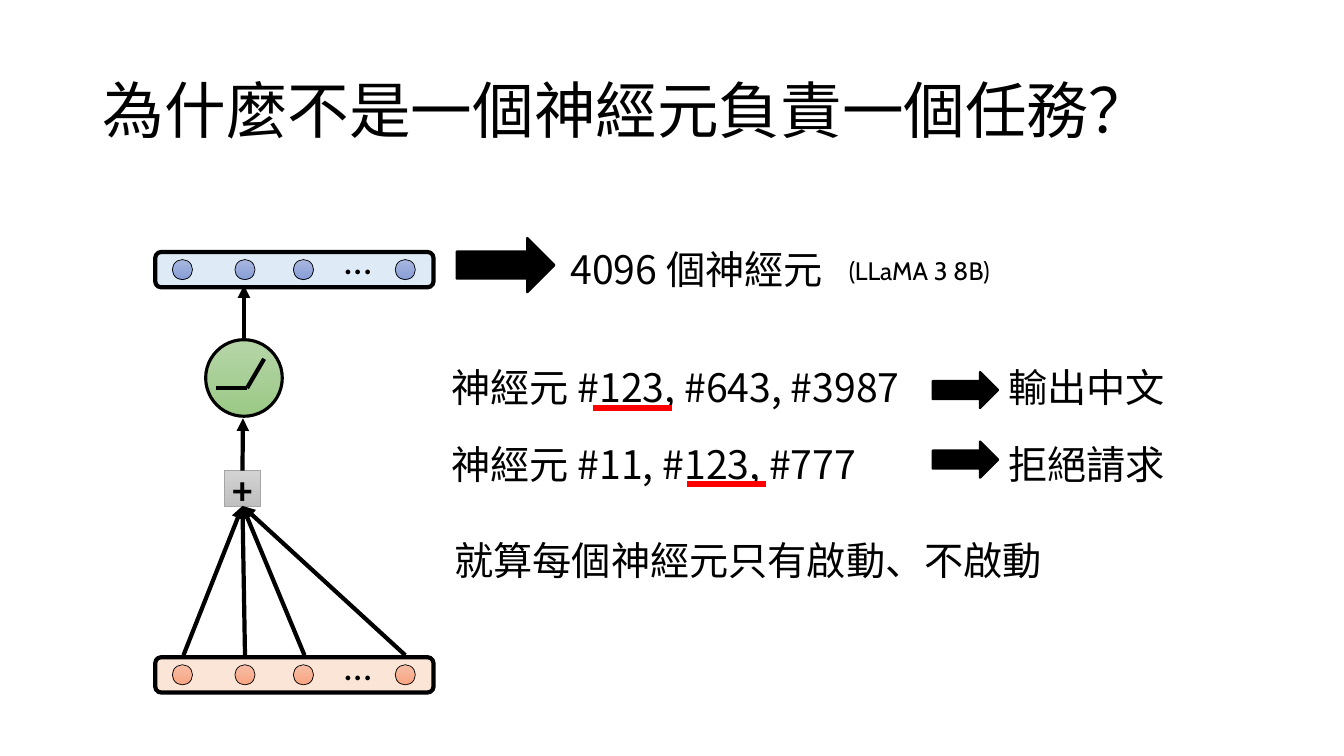
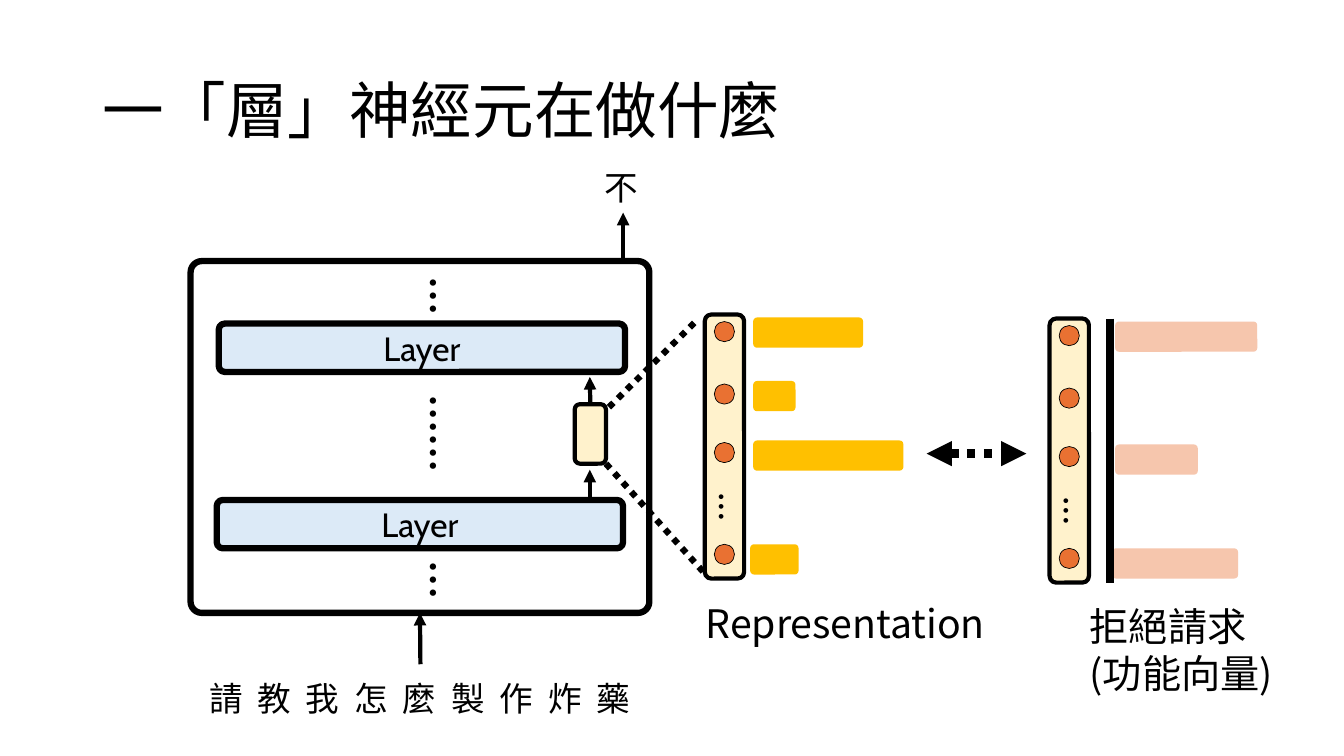
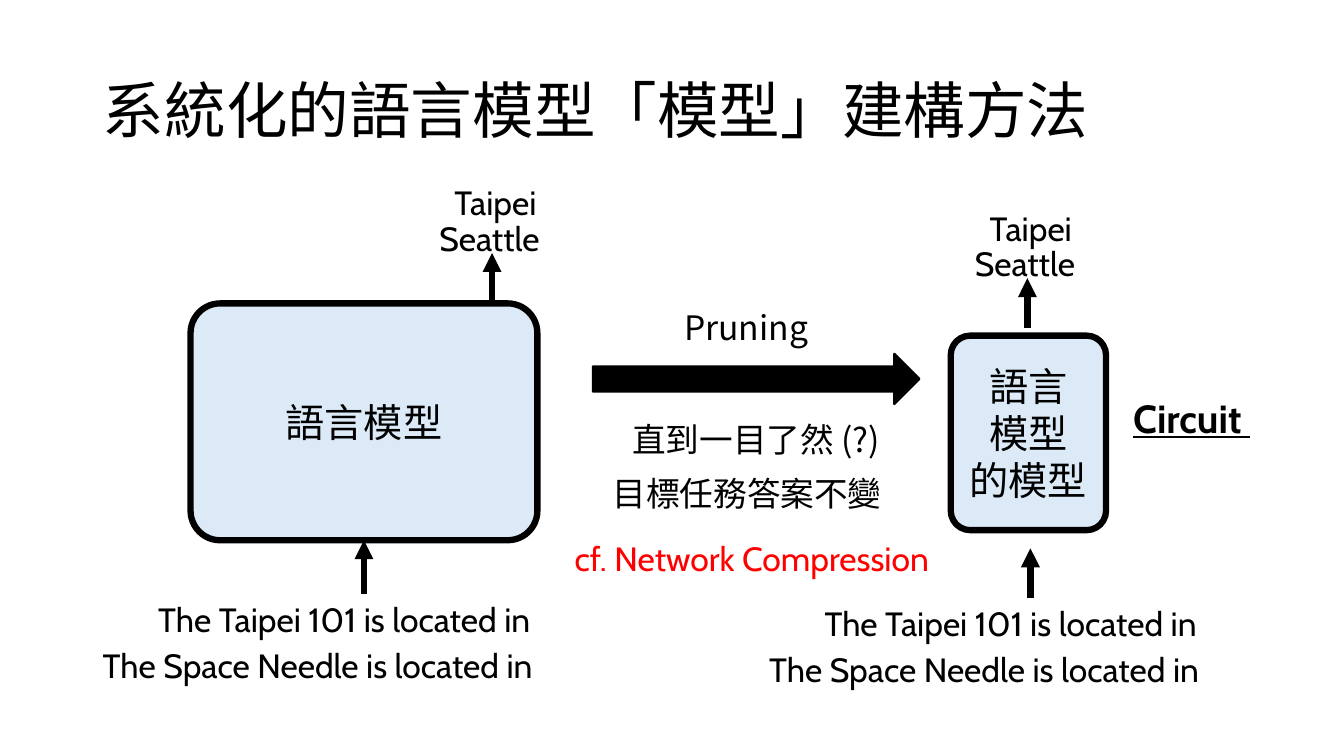
from pptx import Presentation
from pptx.dml.color import RGBColor
from pptx.enum.dml import MSO_LINE
from pptx.enum.shapes import MSO_CONNECTOR, MSO_SHAPE as SHAPE
from pptx.enum.text import MSO_ANCHOR as ANCHOR, MSO_AUTO_SIZE, PP_ALIGN as ALIGN
from pptx.oxml.ns import qn
from pptx.util import Inches, Pt
from lxml import etree

BLACK = RGBColor(0x00, 0x00, 0x00)
RED = RGBColor(0xFF, 0x00, 0x00)
GREEN = (RGBColor(0xB5, 0xD5, 0xA7), RGBColor(0x9C, 0xC9, 0x87))
GREY = (RGBColor(0xD2, 0xD2, 0xD2), RGBColor(0xC0, 0xC0, 0xC0))
GREY_EDGE = RGBColor(0xA5, 0xA5, 0xA5)
SALMON = (RGBColor(0xF7, 0xBD, 0xA5), RGBColor(0xF8, 0xA5, 0x82))
PERIWINKLE = (RGBColor(0xA8, 0xB7, 0xDF), RGBColor(0x88, 0x9E, 0xD7))
PEACH = RGBColor(0xFB, 0xE5, 0xD6)
SKY = RGBColor(0xDE, 0xEB, 0xF7)
MODEL_BLUE = RGBColor(0xDC, 0xEA, 0xF7)
CREAM = RGBColor(0xFF, 0xF2, 0xCC)
ORANGE = RGBColor(0xE9, 0x71, 0x32)
GOLD = RGBColor(0xFF, 0xC0, 0x00)
PINK = RGBColor(0xF6, 0xC6, 0xAD)

CJK, CABIN, CALIBRI = "Noto Sans CJK SC", "Cabin", "Calibri"
NEURON_STEPS = (0, 0.62, 1.2, 2.21)
BAR_TOPS = (0.03, 0.66, 1.25, 2.28)


# ---- Shared helpers ----
def write(tf, text, size=28, font=CJK, color=BLACK, bold=False, underline=False,
          align=ALIGN.LEFT, anchor=ANCHOR.TOP, line_spacing=None, tracking=None):
    """Fill a text frame, one paragraph for each line of text."""
    tf.auto_size = MSO_AUTO_SIZE.NONE
    tf.vertical_anchor = anchor
    for i, words in enumerate(text.split("\n")):
        p = tf.paragraphs[0] if i == 0 else tf.add_paragraph()
        p.alignment = align
        if line_spacing:
            p.line_spacing = line_spacing
        r = p.add_run()
        r.text = words
        r.font.size, r.font.name = Pt(size), font
        r.font.bold, r.font.underline = bold, underline
        r.font.color.rgb = color
        rPr = r.font._element
        etree.SubElement(rPr, qn("a:ea")).set("typeface", font)
        if tracking:
            rPr.set("spc", str(int(tracking * 100)))


def add_text(s, x, y, w, h, text, rotation=0, **fmt):
    sp = s.shapes.add_textbox(Inches(x), Inches(y), Inches(w), Inches(h))
    sp.rotation = rotation
    sp.text_frame.word_wrap = True
    write(sp.text_frame, text, **fmt)
    return sp


def add_box(s, kind, x, y, w, h, fill=None, edge=BLACK, width=3, adj=None):
    """Add a preset shape; a pair of colours makes a vertical gradient."""
    sp = s.shapes.add_shape(kind, Inches(x), Inches(y), Inches(w), Inches(h))
    sp.shadow.inherit = False
    if adj is not None:
        sp.adjustments[0] = adj
    if fill is None:
        sp.fill.background()
    elif isinstance(fill, RGBColor):
        sp.fill.solid()
        sp.fill.fore_color.rgb = fill
    else:
        sp.fill.gradient()
        sp.fill.gradient_angle = 270
        for stop, color in zip(sp.fill.gradient_stops, fill):
            stop.color.rgb = color
    if edge is None:
        sp.line.fill.background()
    else:
        sp.line.color.rgb = edge
        sp.line.width = Pt(width)
    return sp


def add_line(s, x1, y1, x2, y2, width=3, color=BLACK, dotted=False, ends=()):
    c = s.shapes.add_connector(MSO_CONNECTOR.STRAIGHT, Inches(x1), Inches(y1),
                               Inches(x2), Inches(y2))
    c.line.color.rgb = color
    c.line.width = Pt(width)
    if dotted:
        c.line.dash_style = MSO_LINE.ROUND_DOT
    ln = c.line._get_or_add_ln()
    for end in ends:
        etree.SubElement(ln, qn("a:" + end)).set("type", "triangle")
    etree.SubElement(c._element.spPr, qn("a:effectLst"))
    return c


def add_arrow(s, x1, y1, x2, y2, width=3):
    return add_line(s, x1, y1, x2, y2, width, ends=("tailEnd",))


def block_arrow(s, x, y, w, h):
    add_box(s, SHAPE.RIGHT_ARROW, x, y, w, h, BLACK, width=1.5)


def titled_slide(prs, text):
    s = prs.slides.add_slide(prs.slide_layouts[5])
    title = s.shapes.title
    title.left, title.top = Inches(0.92), Inches(0.4)
    title.width, title.height = Inches(11.5), Inches(1.45)
    write(title.text_frame, text, size=44, anchor=ANCHOR.MIDDLE, line_spacing=0.9)
    return s


def neuron_strip(s, x, y, length, depth, pad, fill, dot, vertical=False):
    """Rounded strip of four neurons with an ellipsis before the last."""
    w, h = (depth, length) if vertical else (length, depth)
    add_box(s, SHAPE.ROUNDED_RECTANGLE, x, y, w, h, fill)
    across = (depth - 0.2) / 2
    for step in NEURON_STEPS:
        along = pad + step
        dx, dy = (across, along) if vertical else (along, across)
        add_box(s, SHAPE.OVAL, x + dx, y + dy, 0.2, 0.2, dot, width=0.5)
    along = pad + 1.84
    cx, cy = (depth / 2 + 0.1, along) if vertical else (along, depth / 2 - 0.1)
    add_text(s, x + cx - 0.335, y + cy - 0.285, 0.67, 0.57, "…",
             rotation=90 if vertical else 0, font=CALIBRI, align=ALIGN.CENTER)


# ---- Slide 1: neurons and tasks ----
def relu_node(s, x, y):
    add_box(s, SHAPE.OVAL, x, y, 0.76, 0.76, GREEN, width=2.25)
    add_line(s, x + 0.1, y + 0.48, x + 0.41, y + 0.48)
    add_line(s, x + 0.41, y + 0.48, x + 0.58, y + 0.19)


def network(s, x, y):
    """One neuron: inputs at the bottom, output layer at the top."""
    relu_node(s, x + 0.5, y + 0.87)
    total = add_box(s, SHAPE.RECTANGLE, x + 0.69, y + 2.17, 0.35, 0.35,
                    GREY, GREY_EDGE, 0.5)
    tf = total.text_frame
    tf.margin_left = tf.margin_right = tf.margin_top = tf.margin_bottom = 0
    tf.word_wrap = False
    write(tf, "+", font=CALIBRI, bold=True, align=ALIGN.CENTER, anchor=ANCHOR.MIDDLE)
    neuron_strip(s, x, y + 4.02, 2.76, 0.35, 0.17, PEACH, SALMON)
    neuron_strip(s, x, y, 2.76, 0.35, 0.17, SKY, PERIWINKLE)
    add_arrow(s, x + 0.87, y + 2.17, x + 0.87, y + 1.65).begin_connect(total, 0)
    add_arrow(s, x + 0.88, y + 0.86, x + 0.88, y + 0.33)
    for dx in (0.28, 0.89, 1.48, 2.48):
        add_arrow(s, x + dx, y + 4, x + 0.87, y + 2.52).end_connect(total, 2)


def task_row(s, y, neurons, task, arrow_y, mark_x, mark_y):
    add_text(s, 4.38, y, 6.5, 0.57, neurons)
    add_text(s, 9.9, y, 3.27, 0.57, task)
    block_arrow(s, 9.25, arrow_y, 0.65, 0.36)
    add_line(s, mark_x, mark_y, mark_x + 0.79, mark_y, 4.5, RED)


def neurons_slide(prs):
    s = titled_slide(prs, "為什麼不是一個神經元負責一個任務？")
    network(s, 1.54, 2.5)
    block_arrow(s, 4.53, 2.36, 0.97, 0.54)
    add_text(s, 5.56, 2.38, 3.11, 0.57, "4096 個神經元")
    add_text(s, 8.32, 2.48, 2.1, 0.4, "(LLaMA 3 8B)", size=18, font=CABIN)
    task_row(s, 3.56, "神經元 #123, #643, #3987", "輸出中文", 3.69, 5.88, 4.05)
    task_row(s, 4.32, "神經元 #11, #123, #777", "拒絕請求", 4.38, 6.81, 4.8)
    add_text(s, 4.41, 5.27, 6.5, 0.57, "就算每個神經元只有啟動、不啟動")


# ---- Slide 2: what a layer does ----
def layer_box(s, x, y):
    sp = add_box(s, SHAPE.ROUNDED_RECTANGLE, x, y, 4.03, 0.48, MODEL_BLUE,
                 width=4.5, adj=0.125)
    write(sp.text_frame, "Layer", size=24, font=CABIN, align=ALIGN.CENTER,
          anchor=ANCHOR.MIDDLE)


def layered_model(s, x, y):
    frame = add_box(s, SHAPE.ROUNDED_RECTANGLE, x, y, 4.55, 3.49, width=4.5, adj=0.032)
    layer_box(s, x + 0.26, y + 2.37)
    layer_box(s, x + 0.28, y + 0.62)
    vector = add_box(s, SHAPE.ROUNDED_RECTANGLE, x + 3.81, y + 1.42, 0.31, 0.59, CREAM)
    # Data flow from the prompt to the next token
    add_arrow(s, x + 2.28, y + 4, x + 2.28, y + 3.49).end_connect(frame, 2)
    add_arrow(s, x + 3.96, y + 2.37, x + 3.96, y + 2.07)
    add_arrow(s, x + 3.96, y + 1.42, x + 3.96, y + 1.15).begin_connect(vector, 0)
    add_arrow(s, x + 4.29, y, x + 4.29, y - 0.48)
    # Omitted layers
    for dy, w, dots in ((0.06, 0.83, "…"), (1.43, 1.22, "……"), (2.88, 0.83, "…")):
        add_text(s, x + 2.41 - w / 2, y + dy, w, 0.57, dots, rotation=90,
                 bold=True, align=ALIGN.CENTER)
    # Prompt and answer
    add_text(s, x - 0.11, y + 4.09, 4.77, 0.5, " ".join("請教我怎麼製作炸藥"),
             size=24, align=ALIGN.CENTER, tracking=2.65)
    add_text(s, x + 3.56, y - 0.98, 1.42, 0.5, "不", size=24, align=ALIGN.CENTER)


def activation_bars(s, x, y, gap, color, bars):
    """Neuron strip with a bar beside each listed neuron: row -> width."""
    neuron_strip(s, x, y, 2.62, 0.39, 0.07, CREAM, ORANGE, vertical=True)
    for row, w in bars.items():
        nudge = 0.03 if row == 3 else 0
        add_box(s, SHAPE.ROUNDED_RECTANGLE, x + gap - nudge, y + BAR_TOPS[row], w, 0.3,
                color, edge=None, adj=0.125)


def layer_slide(prs):
    s = titled_slide(prs, "一「層」神經元在做什麼")
    layered_model(s, 1.89, 2.59)
    # Zoom into the representation
    add_line(s, 6.01, 4.6, 6.99, 5.69, 4.5, dotted=True)
    add_line(s, 6.04, 4.04, 6.9, 3.19, 4.5, dotted=True)
    activation_bars(s, 6.99, 3.12, 0.48, GOLD, {0: 1.09, 1: 0.42, 2: 1.49, 3: 0.48})
    add_text(s, 6.9, 5.9, 3.13, 0.57, "Representation")
    # Comparison with the function vector
    add_line(s, 9.19, 4.5, 10.18, 4.5, 6, dotted=True, ends=("headEnd", "tailEnd"))
    activation_bars(s, 10.41, 3.16, 0.65, PINK, {0: 1.41, 2: 0.82, 3: 1.25})
    add_line(s, 11.01, 3.16, 11.01, 5.78, 6)
    add_text(s, 10.71, 5.93, 2.18, 1.04, "拒絕請求\n(功能向量)")


# ---- Slide 3: pruning a language model ----
def model_box(s, x, y, w, h, text):
    sp = add_box(s, SHAPE.ROUNDED_RECTANGLE, x, y, w, h, MODEL_BLUE, width=4.5, adj=0.125)
    write(sp.text_frame, text, align=ALIGN.CENTER, anchor=ANCHOR.MIDDLE)
    return sp


def answers(s, x, y):
    add_text(s, x, y, 1.33, 0.5, "Taipei", size=24, font=CABIN, align=ALIGN.RIGHT)
    add_text(s, x + 0.17, y + 0.35, 1.24, 0.5, "Seattle", size=24, font=CABIN)
    add_arrow(s, x + 0.79, y + 1.24, x + 0.79, y + 0.75, 4.5)


def prompts(s, x, y):
    add_text(s, x + 0.55, y + 0.49, 4.27, 0.5, "The Taipei 101 is located in",
             size=24, font=CABIN)
    add_text(s, x, y + 0.95, 4.83, 0.5, "The Space Needle is located in",
             size=24, font=CABIN)
    return add_arrow(s, x + 2.69, y + 0.49, x + 2.69, y, 4.5)


def pruning_slide(prs):
    s = titled_slide(prs, "系統化的語言模型「模型」建構方法")
    # Full model
    full = model_box(s, 1.89, 3.01, 3.44, 2.35, "語言模型")
    answers(s, 4.09, 1.76)
    prompts(s, 0.92, 5.4).end_connect(full, 2)
    # Pruned model
    model_box(s, 9.43, 3.33, 1.54, 1.93, "語言\n模型\n的模型")
    answers(s, 9.4, 2.01)
    prompts(s, 7.53, 5.44)
    add_text(s, 10.56, 3.86, 2.52, 0.57, "Circuit ", font=CABIN, bold=True,
             underline=True, align=ALIGN.CENTER)
    # Pruning step
    block_arrow(s, 5.88, 3.51, 3.24, 0.5)
    for x, y, text in ((5.95, 3, "Pruning"), (6.05, 4.11, "直到一目了然 (?)"),
                       (5.96, 4.64, "目標任務答案不變")):
        add_text(s, x, y, 2.9, 0.5, text, size=24, align=ALIGN.CENTER)
    add_text(s, 5.6, 5.29, 4.34, 0.5, "cf. Network Compression", size=24,
             font=CABIN, color=RED)


def main():
    prs = Presentation()
    prs.slide_width, prs.slide_height = Inches(13.33), Inches(7.5)
    neurons_slide(prs)
    layer_slide(prs)
    pruning_slide(prs)
    prs.save("out.pptx")


if __name__ == "__main__":
    main()
